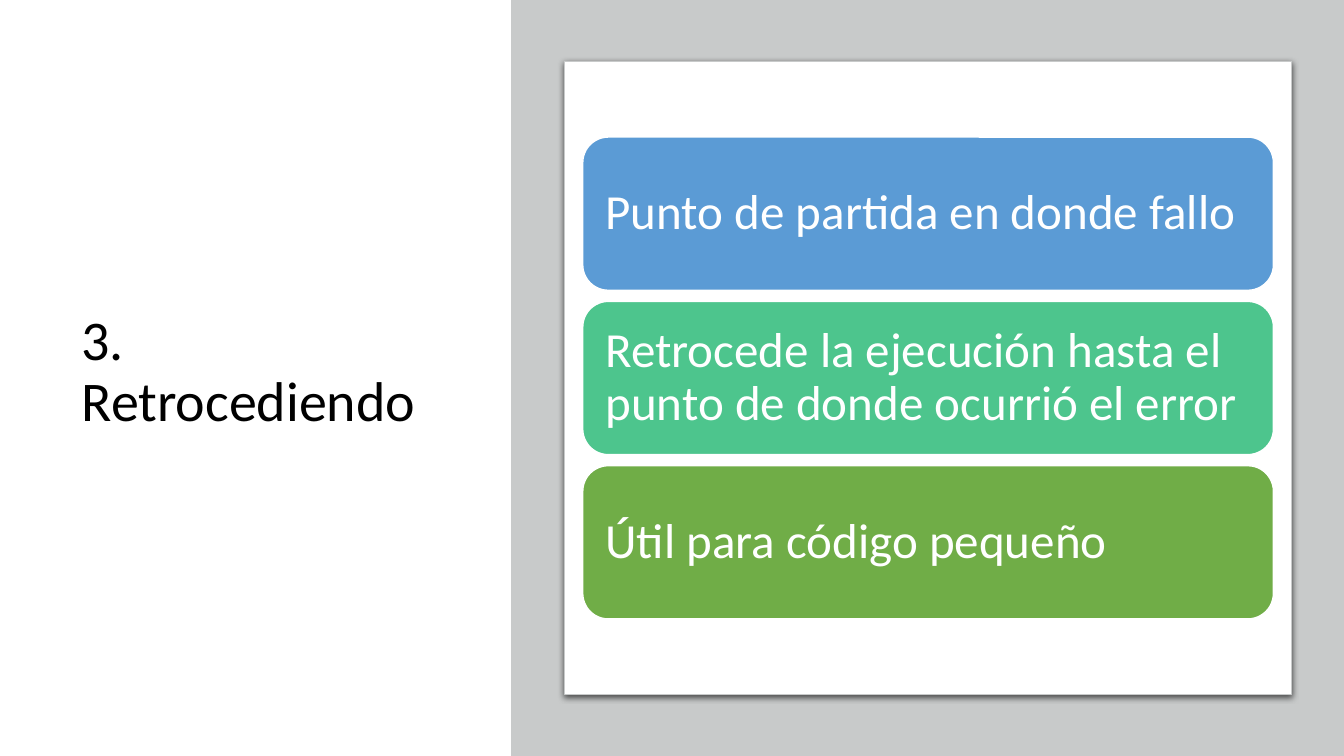
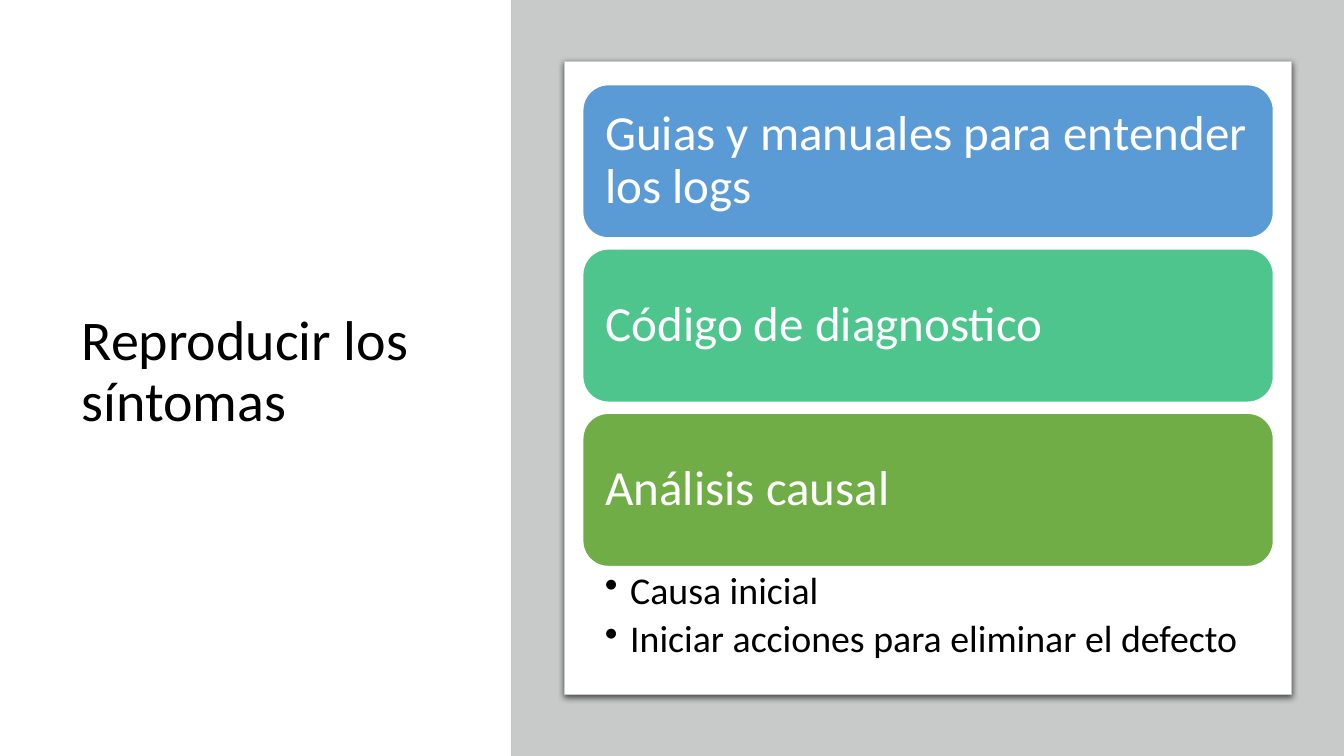
from dataclasses import dataclass

from lxml import etree
from pptx import Presentation
from pptx.dml.color import RGBColor
from pptx.enum.shapes import MSO_SHAPE
from pptx.enum.text import MSO_ANCHOR, MSO_AUTO_SIZE, PP_ALIGN
from pptx.oxml.ns import qn
from pptx.util import Inches, Pt

RECT, ROUNDED = MSO_SHAPE.RECTANGLE, MSO_SHAPE.ROUNDED_RECTANGLE
LEFT, MIDDLE, TOP = PP_ALIGN.LEFT, MSO_ANCHOR.MIDDLE, MSO_ANCHOR.TOP
NO_AUTOFIT = MSO_AUTO_SIZE.NONE


@dataclass(frozen=True)
class Theme:
    """Colours, font and type sizes of the deck."""
    font: str = "Calibri"
    ink: str = "000000"
    paper: str = "FFFFFF"
    band: str = "C8CACA"
    cards: tuple = ("5B9BD5", "4DC58D", "70AD47")
    title_size: int = 40
    card_size: int = 35
    bullet_size: int = 27


THEME = Theme()
CARD_LEFT, CARD_WIDTH, CARD_HEIGHT, CARD_STEP = 5.78, 6.85, 1.52, 1.63

SLIDES = [
    {"title": "3. Retrocediendo", "top": 1.36, "bullets": [],
     "cards": ["Punto de partida en donde fallo",
               "Retrocede la ejecución hasta el punto de donde ocurrió el error",
               "Útil para código pequeño"]},
    {"title": "Reproducir los síntomas", "top": 0.84,
     "cards": ["Guias y manuales para entender los logs",
               "Código de diagnostico",
               "Análisis causal"],
     "bullets": ["Causa inicial", "Iniciar acciones para eliminar el defecto"]},
]


def add_box(s, kind, box, fill, line=None, line_width=1):
    """Add a flat filled shape, outlined only when a line colour is given."""
    sp = s.shapes.add_shape(kind, *(Inches(v) for v in box))
    sp.fill.solid()
    sp.fill.fore_color.rgb = RGBColor.from_string(fill)
    if line:
        sp.line.color.rgb = RGBColor.from_string(line)
        sp.line.width = Pt(line_width)
    else:
        sp.line.fill.background()
    sp.shadow.inherit = False
    return sp


def write(sp, lines, size, color, anchor, insets=(0.1, 0.05, 0.1, 0.05)):
    """Fill a shape with left-aligned paragraphs in the theme font."""
    tf = sp.text_frame
    tf.text = "\n".join(lines)
    tf.word_wrap = True
    tf.auto_size = NO_AUTOFIT
    tf.vertical_anchor = anchor
    tf.margin_left, tf.margin_top, tf.margin_right, tf.margin_bottom = (
        Inches(v) for v in insets)
    for p in tf.paragraphs:
        p.alignment = LEFT
        p.line_spacing = 0.9
        for r in p.runs:
            r.font.name = THEME.font
            r.font.size = Pt(size)
            r.font.color.rgb = RGBColor.from_string(color)
    return tf


prs = Presentation()
prs.slide_width, prs.slide_height = Inches(13.33), Inches(7.5)
title_only = prs.slide_layouts[5]

for content in SLIDES:
    s = prs.slides.add_slide(title_only)
    title = s.shapes.title
    title.left, title.top = Inches(0.71), Inches(0.69)
    title.width, title.height = Inches(4.01), Inches(6.02)
    write(title, [content["title"]], THEME.title_size, THEME.ink, MIDDLE)

    # Grey band with a white, softly shadowed panel
    add_box(s, RECT, (5.07, 0, 8.26, 7.5), THEME.band)
    panel = add_box(s, RECT, (5.6, 0.61, 7.21, 6.28), THEME.paper, THEME.band, 0.75)
    effects = panel.element.spPr.find(qn("a:effectLst"))
    shadow = etree.SubElement(effects, qn("a:outerShdw"), blurRad=str(Pt(4.5)),
                              dist=str(Pt(1.5)), dir="5400000", rotWithShape="0")
    shade = etree.SubElement(shadow, qn("a:srgbClr"), val=THEME.ink)
    etree.SubElement(shade, qn("a:alpha"), val="63000")

    # Stack of coloured cards
    for i, (text, fill) in enumerate(zip(content["cards"], THEME.cards)):
        top = content["top"] + i * CARD_STEP
        card = add_box(s, ROUNDED, (CARD_LEFT, top, CARD_WIDTH, CARD_HEIGHT),
                       fill, THEME.paper)
        write(card, [text], THEME.card_size, THEME.paper, MIDDLE, (0.15,) * 4)

    # Bullets under the last card
    if content["bullets"]:
        notes = s.shapes.add_textbox(Inches(CARD_LEFT), Inches(top + CARD_HEIGHT),
                                     Inches(CARD_WIDTH), Inches(1.03))
        tf = write(notes, content["bullets"], THEME.bullet_size, THEME.ink, TOP,
                   (0.22, 0.05, 0.27, 0.05))
        for p in tf.paragraphs:
            p.level = 1
            p.space_after = Pt(5.4)
            pPr = p._p.get_or_add_pPr()
            pPr.set("marL", str(Inches(0.25)))
            pPr.set("indent", str(Inches(-0.25)))
            etree.SubElement(pPr, qn("a:buChar"), char="•")

prs.save("out.pptx")
